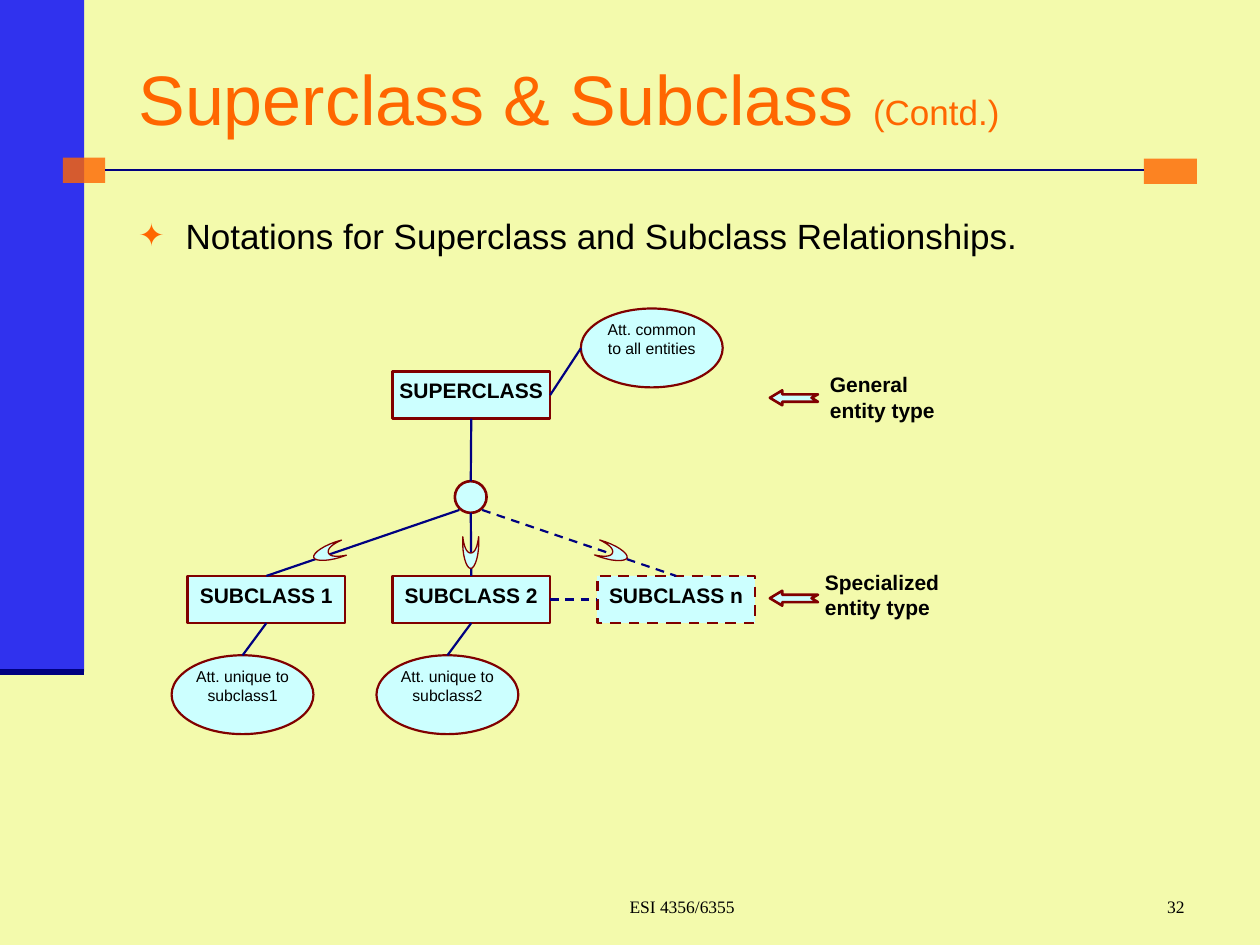
"""Build the slide on superclass and subclass notation."""
from dataclasses import dataclass
from math import cos, radians, sin

from lxml.etree import SubElement
from pptx import Presentation
from pptx.dml.color import RGBColor
from pptx.enum.dml import MSO_LINE
from pptx.enum.shapes import MSO_CONNECTOR, MSO_SHAPE
from pptx.enum.text import MSO_ANCHOR, MSO_AUTO_SIZE, PP_ALIGN
from pptx.oxml.ns import qn
from pptx.slide import Slide
from pptx.util import Cm, Pt


def color(value):
    return RGBColor.from_string(value)


def bezier(start, first, second, end, steps=8):
    for step in range(1, steps + 1):
        t = step / steps
        weights = ((1 - t) ** 3, 3 * t * (1 - t) ** 2, 3 * t * t * (1 - t), t ** 3)
        yield tuple(sum(w * p[axis] for w, p in zip(weights, (start, first, second, end)))
                    for axis in (0, 1))


@dataclass
class Diagram:
    slide: Slide
    font: str = "Arial"
    ink: str = "000000"
    accent: str = "FF6600"
    navy: str = "000080"
    maroon: str = "800000"
    pale: str = "CCFFFF"

    def fill_frame(self, frame, runs, align=PP_ALIGN.LEFT, anchor=MSO_ANCHOR.TOP,
                   insets=(0.25, 0.13), hue=None, font=None, bold=False):
        frame.word_wrap = True
        frame.auto_size = MSO_AUTO_SIZE.NONE
        frame.vertical_anchor = anchor
        frame.margin_left = frame.margin_right = Cm(insets[0])
        frame.margin_top = frame.margin_bottom = Cm(insets[1])
        paragraph = frame.paragraphs[0]
        paragraph.alignment = align
        paragraph.space_before = Pt(0)
        for words, size in runs:
            run = paragraph.add_run()
            run.text = words
            run.font.name = font or self.font
            run.font.size = Pt(size)
            run.font.bold = bold
            run.font.color.rgb = color(hue or self.ink)
        return paragraph

    def place(self, item, left, top, width, height):
        item.left, item.top, item.width, item.height = map(Cm, (left, top, width, height))

    def title(self, box, runs):
        heading = self.slide.shapes.title
        self.place(heading, *box)
        self.fill_frame(heading.text_frame, runs, anchor=MSO_ANCHOR.MIDDLE, hue=self.accent)

    def bullet(self, box, words, size):
        body = self.slide.placeholders[1]
        self.place(body, *box)
        paragraph = self.fill_frame(body.text_frame, [(words, size)])
        properties = paragraph._p.get_or_add_pPr()
        properties.set("marL", str(Cm(0.95)))
        properties.set("indent", str(Cm(-0.95)))
        SubElement(SubElement(properties, qn("a:buClr")), qn("a:srgbClr"), val=self.accent)
        SubElement(properties, qn("a:buSzPct"), val="90000")
        SubElement(properties, qn("a:buChar"), char="✦")

    def text(self, box, words, size, **style):
        area = self.slide.shapes.add_textbox(*map(Cm, box))
        return self.fill_frame(area.text_frame, [(words, size)], **style)

    def block(self, box, fill):
        bar = self.slide.shapes.add_shape(MSO_SHAPE.RECTANGLE, *map(Cm, box))
        bar.shadow.inherit = False
        bar.fill.solid()
        bar.fill.fore_color.rgb = color(fill)
        bar.line.fill.background()
        tint = bar._element.spPr.find(".//" + qn("a:srgbClr"))
        SubElement(tint, qn("a:alpha"), val="80000")

    def outline(self, item, weight, dashed=False):
        item.shadow.inherit = False
        item.fill.solid()
        item.fill.fore_color.rgb = color(self.pale)
        item.line.color.rgb = color(self.maroon)
        item.line.width = Pt(weight)
        if dashed:
            item.line.dash_style = MSO_LINE.DASH
        return item

    def entity(self, left, top, name, dashed=False):
        box = self.slide.shapes.add_shape(MSO_SHAPE.RECTANGLE, *map(Cm, (left, top, 3.18, 0.95)))
        self.fill_frame(box.text_frame, [(name, 12)], PP_ALIGN.CENTER, insets=(0, 0.13), bold=True)
        return self.outline(box, 1.5, dashed)

    def attribute(self, left, top, words):
        oval = self.slide.shapes.add_shape(MSO_SHAPE.OVAL, *map(Cm, (left, top, 2.86, 1.59)))
        self.fill_frame(oval.text_frame, [(words, 9)], PP_ALIGN.CENTER, insets=(0, 0))
        return self.outline(oval, 1.25)

    def joint(self, left, top, size):
        circle = self.slide.shapes.add_shape(MSO_SHAPE.OVAL, *map(Cm, (left, top, size, size)))
        return self.outline(circle, 1.5)

    def link(self, start, end, weight=1.25, dashed=False, source=None, target=None):
        line = self.slide.shapes.add_connector(MSO_CONNECTOR.STRAIGHT, *map(Cm, start + end))
        if source:
            line.begin_connect(*source)
        if target:
            line.end_connect(*target)
        line.line.color.rgb = color(self.navy)
        line.line.width = Pt(weight)
        if dashed:
            line.line.dash_style = MSO_LINE.DASH
        SubElement(line._element.spPr, qn("a:effectLst"))

    def polygon(self, points, weight):
        corners = [(Cm(x), Cm(y)) for x, y in points]
        builder = self.slide.shapes.build_freeform(*corners[0])
        builder.add_line_segments(corners[1:], close=True)
        self.outline(builder.convert_to_shape(), weight)

    def pointer(self, left, top):
        notched = ((0.97, 0.23), (0.25, 0.23), (0.25, 0.3), (0, 0.15),
                   (0.25, 0), (0.25, 0.08), (0.97, 0.08), (0.84, 0.15))
        self.polygon([(left + x, top + y) for x, y in notched], 1.5)

    def crescent(self, x, y, angle):
        horn, notch, tip = (-0.16, -0.32), (0, 0.01), (0, 0.32)
        far_horn = (0.16, -0.32)
        curves = ((horn, (-0.14, -0.14), (-0.09, 0.01), notch),
                  (notch, (0.09, 0.01), (0.14, -0.14), far_horn),
                  (far_horn, (0.18, 0.04), (0.09, 0.32), tip),
                  (tip, (-0.09, 0.32), (-0.18, 0.04), horn))
        outline = [horn] + [point for curve in curves for point in bezier(*curve)]
        c, s = cos(radians(angle)), sin(radians(angle))
        self.polygon([(x + c * u - s * v, y + s * u + c * v) for u, v in outline], 0.75)


def main():
    deck = Presentation()
    deck.slide_width, deck.slide_height = Cm(25.4), Cm(19.05)
    slide = deck.slides.add_slide(deck.slide_layouts[1])
    slide.background.fill.solid()
    slide.background.fill.fore_color.rgb = color("F3FAAC")
    diagram = Diagram(slide)

    diagram.block((0, 0, 1.7, 13.54), "0000FF")
    diagram.link((0, 13.54), (1.7, 13.54), 3.5)
    diagram.block((23.06, 3.2, 1.07, 0.51), diagram.accent)
    diagram.block((1.27, 3.18, 0.85, 0.51), diagram.accent)
    diagram.link((2.12, 3.43), (23.06, 3.43), 1.5)
    diagram.title((2.54, 0.76, 21.59, 2.41), [("Superclass & Subclass ", 40), ("(Contd.)", 20)])
    diagram.bullet((2.54, 4.2, 18.42, 1.27), "Notations for Superclass and Subclass Relationships.", 20)

    first, pitch, middle, row = 3.78, 4.13, 9.49, 11.61
    superclass = diagram.entity(first + pitch, 7.49, "SUPERCLASS")
    circle = diagram.joint(middle - 0.32, 9.7, 0.64)
    subclasses = [diagram.entity(first + i * pitch, row, f"SUBCLASS {mark}", mark == "n")
                  for i, mark in enumerate("12n")]
    diagram.link((middle, 8.44), (middle, 9.7), source=(superclass, 2), target=(circle, 0))
    branches = ((-0.23, 10.28), (0, 10.34), (0.23, 10.28))
    for subclass, (shift, top) in zip(subclasses, branches):
        diagram.link((middle + shift, top), (middle, row), dashed=shift > 0, target=(subclass, 0))
    diagram.link((11.09, 12.09), (12.04, 12.09), dashed=True,
                 source=(subclasses[1], 3), target=(subclasses[2], 1))

    for i, subclass in enumerate(subclasses[:2]):
        unique = diagram.attribute(3.46 + i * pitch, 13.21, f"Att. unique to subclass{i + 1}")
        diagram.link((middle, 12.56), (middle, 13.21), source=(subclass, 2), target=(unique, 0))
    diagram.attribute(11.71, 6.22, "Att. common to all entities")
    diagram.link((11.09, 7.97), (11.71, 7.02), source=(superclass, 3))

    for x, y, angle in ((6.63, 11.14, 72), (middle, 11.14, 0), (12.34, 11.14, -71)):
        diagram.crescent(x, y, angle)
    for top in (7.87, 11.91):
        diagram.pointer(15.52, top)
    diagram.text((16.48, 7.37, 2.86, 1.59), "General entity type", 12, bold=True)
    diagram.text((16.38, 11.35, 2.86, 1.59), "Specialized entity type", 12, bold=True)

    footer = {"anchor": MSO_ANCHOR.BOTTOM, "font": "Times New Roman"}
    course = diagram.text((9.32, 17.35, 8.26, 1.27), "ESI 4356/6355", 10,
                          align=PP_ALIGN.CENTER, **footer)
    course._p.get_or_add_pPr().set("marL", str(Cm(0.6)))
    diagram.text((18.85, 17.35, 5.28, 1.27), "32", 10, align=PP_ALIGN.RIGHT, **footer)
    deck.save("out.pptx")


if __name__ == "__main__":
    main()
